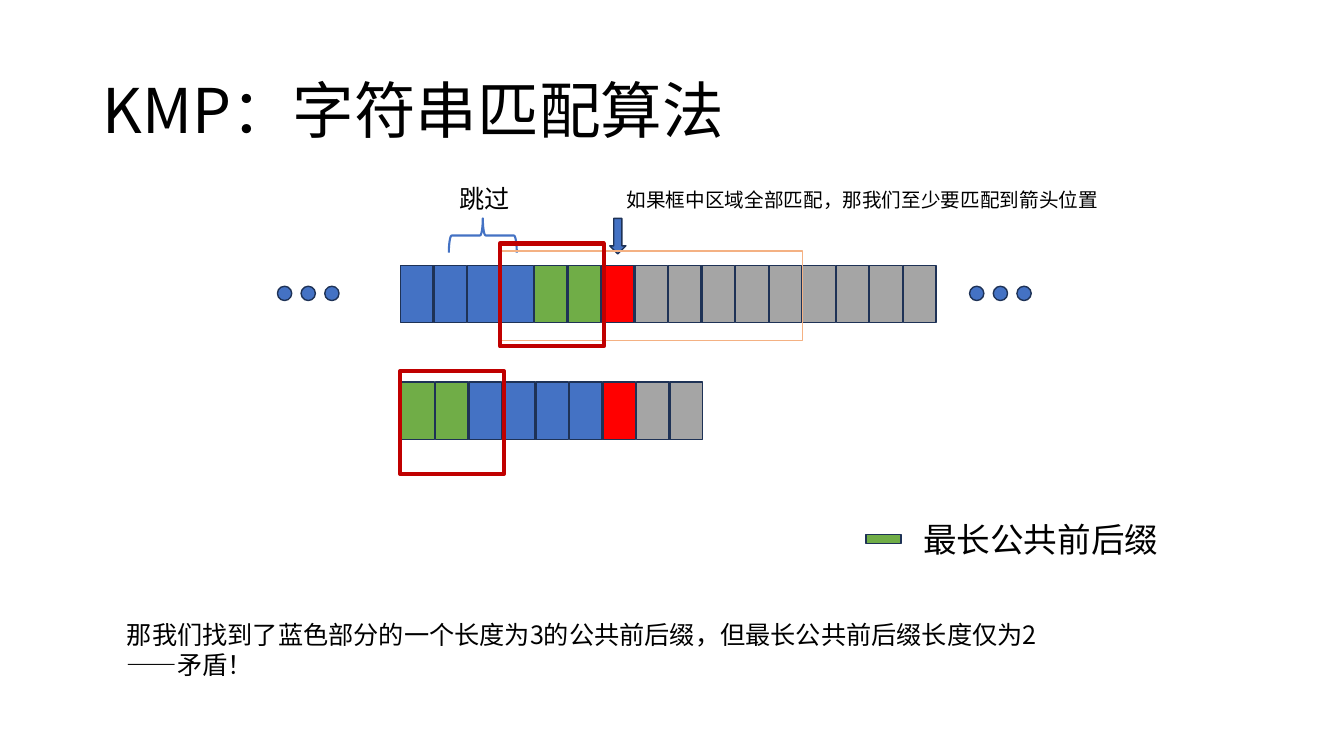
from lxml import etree
from pptx import Presentation
from pptx.dml.color import RGBColor
from pptx.enum import shapes, text
from pptx.oxml.ns import qn
from pptx.util import Pt

FONT = "Noto Sans CJK SC"
BLUE, GREEN, RED, GRAY = "4472C4", "70AD47", "FF0000", "A5A5A5"
OUTLINE, FRAME_RED, FRAME_ORANGE = "1E3256", "C00000", "F4B183"
KIND = shapes.MSO_SHAPE

deck = Presentation()
deck.slide_width, deck.slide_height = Pt(960), Pt(540)
page = deck.slides.add_slide(deck.slide_layouts[6])


def add_figure(kind, left, top, width, height, fill=None, line=OUTLINE, weight=1):
    """Add a preset shape; without a fill only its outline is drawn."""
    figure = page.shapes.add_shape(kind, Pt(left), Pt(top), Pt(width), Pt(height))
    figure.shadow.inherit = False
    if fill:
        figure.fill.solid()
        figure.fill.fore_color.rgb = RGBColor.from_string(fill)
    else:
        figure.fill.background()
    figure.line.color.rgb = RGBColor.from_string(line)
    figure.line.width = Pt(weight)
    return figure


def add_text(content, left, top, width, height, size, wrap=False):
    box = page.shapes.add_textbox(Pt(left), Pt(top), Pt(width), Pt(height))
    frame = box.text_frame
    frame.text = content
    frame.word_wrap = wrap
    for para in frame.paragraphs:
        for span in para.runs:
            span.font.size = Pt(size)
            span.font.name = FONT
            span.font.color.rgb = RGBColor.from_string("000000")
            east_asian = etree.SubElement(span.font._element, qn("a:ea"))
            east_asian.set("typeface", FONT)
    return frame


title = add_text("KMP：字符串匹配算法", 66, 28.75, 828, 104.4, 44, wrap=True)
title.vertical_anchor = text.MSO_ANCHOR.MIDDLE
title.paragraphs[0].line_spacing = 0.9

# Text string above, pattern below
CELL_PITCH, CELL_WIDTH, CELL_HEIGHT = 23.95, 23.3, 41
text_cells = [BLUE] * 4 + [GREEN] * 2 + [RED] + [GRAY] * 9
pattern_cells = [GREEN] * 2 + [BLUE] * 4 + [RED] + [GRAY] * 2
for left, top, cells in [(286, 189.5, text_cells), (287, 272.8, pattern_cells)]:
    for index, color in enumerate(cells):
        add_figure(KIND.RECTANGLE, left + index * CELL_PITCH, top,
                   CELL_WIDTH, CELL_HEIGHT, color)

# Dots on both sides of the text string
for left in (198.2, 692.6):
    for index in range(3):
        add_figure(KIND.OVAL, left + index * 16.9, 204.5, 10.2, 10.2, BLUE)

add_figure(KIND.DOWN_ARROW, 435.6, 156, 11.5, 25.4, BLUE)

# Legend
add_text("最长公共前后缀", 652.3, 367.2, 184.3, 36, 24)
add_figure(KIND.RECTANGLE, 618.5, 381.6, 25.2, 6.7, GREEN)

# Skipped part
brace = add_figure(KIND.LEFT_BRACE, 332.6, 144, 24.5, 48.5, line=BLUE, weight=1.5)
brace.rotation = 90
add_text("跳过", 321.1, 127.4, 51.1, 28.8, 18)

add_text("那我们找到了蓝色部分的一个长度为3的公共前后缀，但最长公共前后缀长度仅为2\n——矛盾！",
         83.5, 438.5, 668.2, 51.1, 18, wrap=True)
add_text("如果框中区域全部匹配，那我们至少要匹配到箭头位置", 440.6, 131, 353.5, 24.5, 14)

# Frames around the compared regions
add_figure(KIND.RECTANGLE, 357.1, 179.3, 216, 64.1, line=FRAME_ORANGE)
for left, top in [(357.1, 174), (285.8, 265)]:
    add_figure(KIND.RECTANGLE, left, top, 74.2, 73.4, line=FRAME_RED, weight=3)

deck.save("out.pptx")
